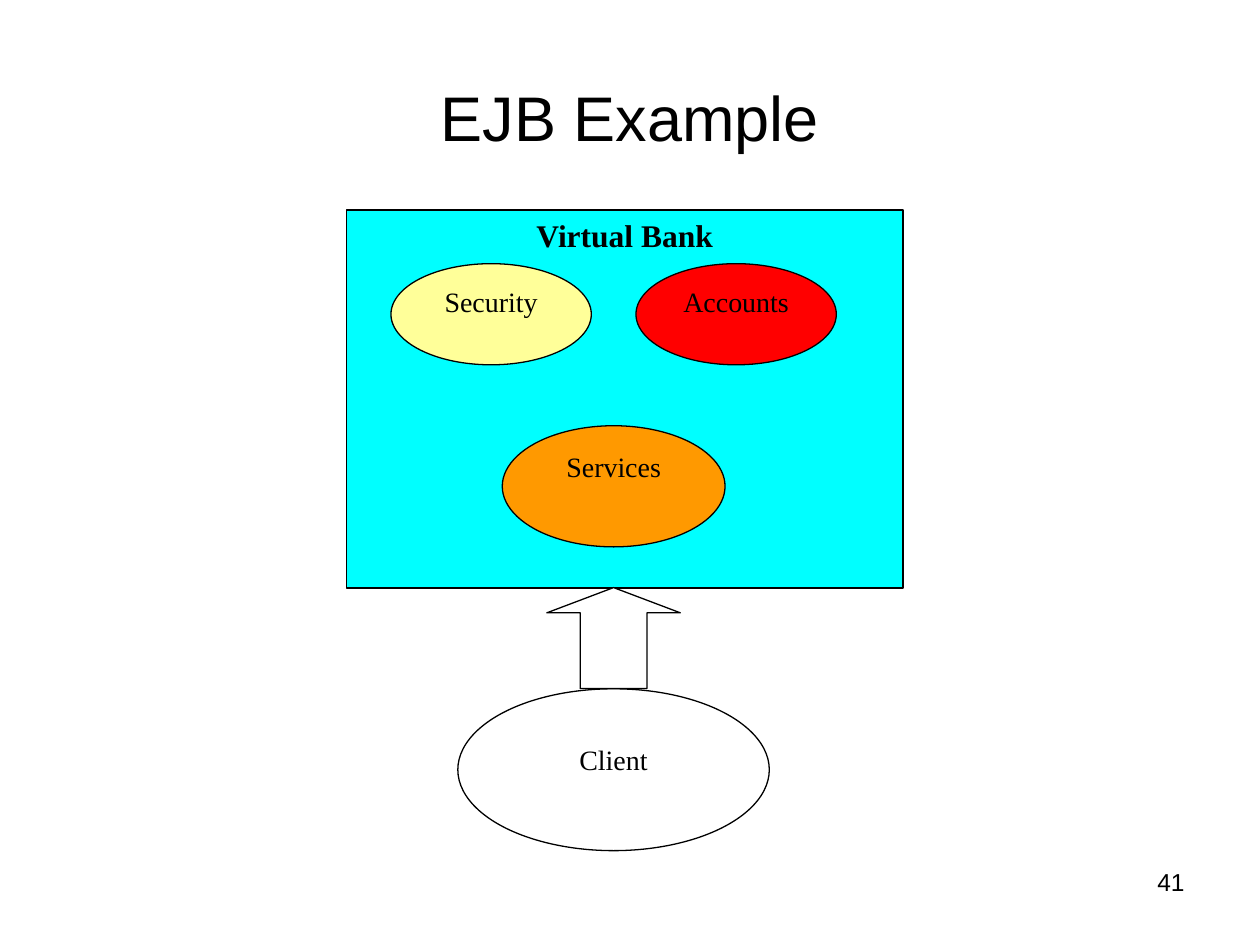
"""Build the EJB Example slide: a client calling the beans of a virtual bank."""
from pptx import Presentation
from pptx.dml.color import RGBColor
from pptx.enum import shapes, text
from pptx.util import Pt

BLACK = RGBColor(0x00, 0x00, 0x00)
WHITE = RGBColor(0xFF, 0xFF, 0xFF)
CYAN = RGBColor(0x00, 0xFF, 0xFF)
YELLOW = RGBColor(0xFF, 0xFF, 0x99)
RED = RGBColor(0xFF, 0x00, 0x00)
ORANGE = RGBColor(0xFF, 0x99, 0x00)
RECTANGLE = shapes.MSO_SHAPE.RECTANGLE
OVAL = shapes.MSO_SHAPE.OVAL
ARROW = shapes.MSO_SHAPE.UP_ARROW


def write(shape, wording, size, font, align, anchor, bold=False):
    frame = shape.text_frame
    frame.text = wording
    frame.word_wrap = True
    frame.auto_size = text.MSO_AUTO_SIZE.NONE
    frame.vertical_anchor = anchor
    para = frame.paragraphs[0]
    para.alignment = align
    span = para.runs[0]
    span.font.name = font
    span.font.size = Pt(size)
    span.font.bold = bold
    span.font.color.rgb = BLACK


deck = Presentation()
deck.slide_width, deck.slide_height = Pt(720), Pt(540)
page = deck.slides.add_slide(deck.slide_layouts[5])

title = page.shapes.title
title.left, title.top, title.width, title.height = Pt(36), Pt(46.8), Pt(648), Pt(39.6)
write(title, "EJB Example", 36, "Arial", text.PP_ALIGN.CENTER, text.MSO_ANCHOR.MIDDLE)

parts = [
    (RECTANGLE, "Virtual Bank", 198, 120, 318, 216, CYAN, 18),
    (OVAL, "Client", 261.6, 393.6, 178, 92.5, WHITE, 16),
    (ARROW, "", 312.5, 335.8, 76.3, 57.7, WHITE, 16),
    (OVAL, "Security", 223.4, 150.7, 114.5, 57.8, YELLOW, 16),
    (OVAL, "Accounts", 363.4, 150.7, 114.5, 57.8, RED, 16),
    (OVAL, "Services", 287, 243.3, 127.3, 69.2, ORANGE, 16),
]
diagram = page.shapes.add_group_shape()
for kind, label, left, top, width, height, fill, size in parts:
    part = diagram.shapes.add_shape(kind, Pt(left), Pt(top), Pt(width), Pt(height))
    part.shadow.inherit = False
    part.fill.solid()
    part.fill.fore_color.rgb = fill
    part.line.color.rgb = BLACK
    part.line.width = Pt(0.75)
    if kind == ARROW:
        part.adjustments[0], part.adjustments[1] = 0.5, 0.25
    if label:
        write(part, label, size, "Times New Roman", text.PP_ALIGN.CENTER,
              text.MSO_ANCHOR.TOP, bold=kind == RECTANGLE)
    if label == "Client":
        part.text_frame.margin_top = Pt(17.4)

number = page.shapes.add_textbox(Pt(516), Pt(491.8), Pt(168), Pt(37.4))
write(number, "41", 14, "Arial", text.PP_ALIGN.RIGHT, text.MSO_ANCHOR.TOP)

deck.save("out.pptx")
